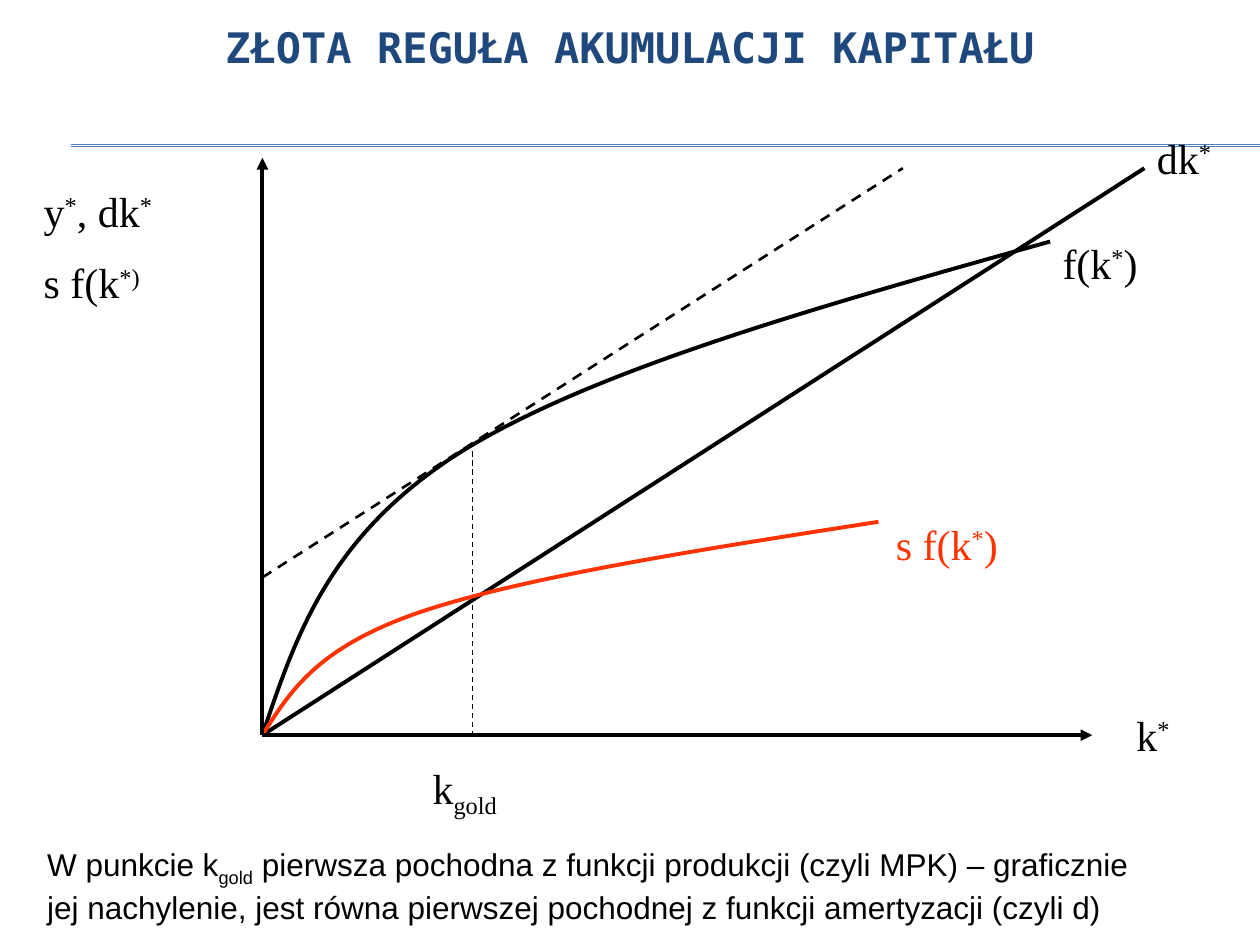
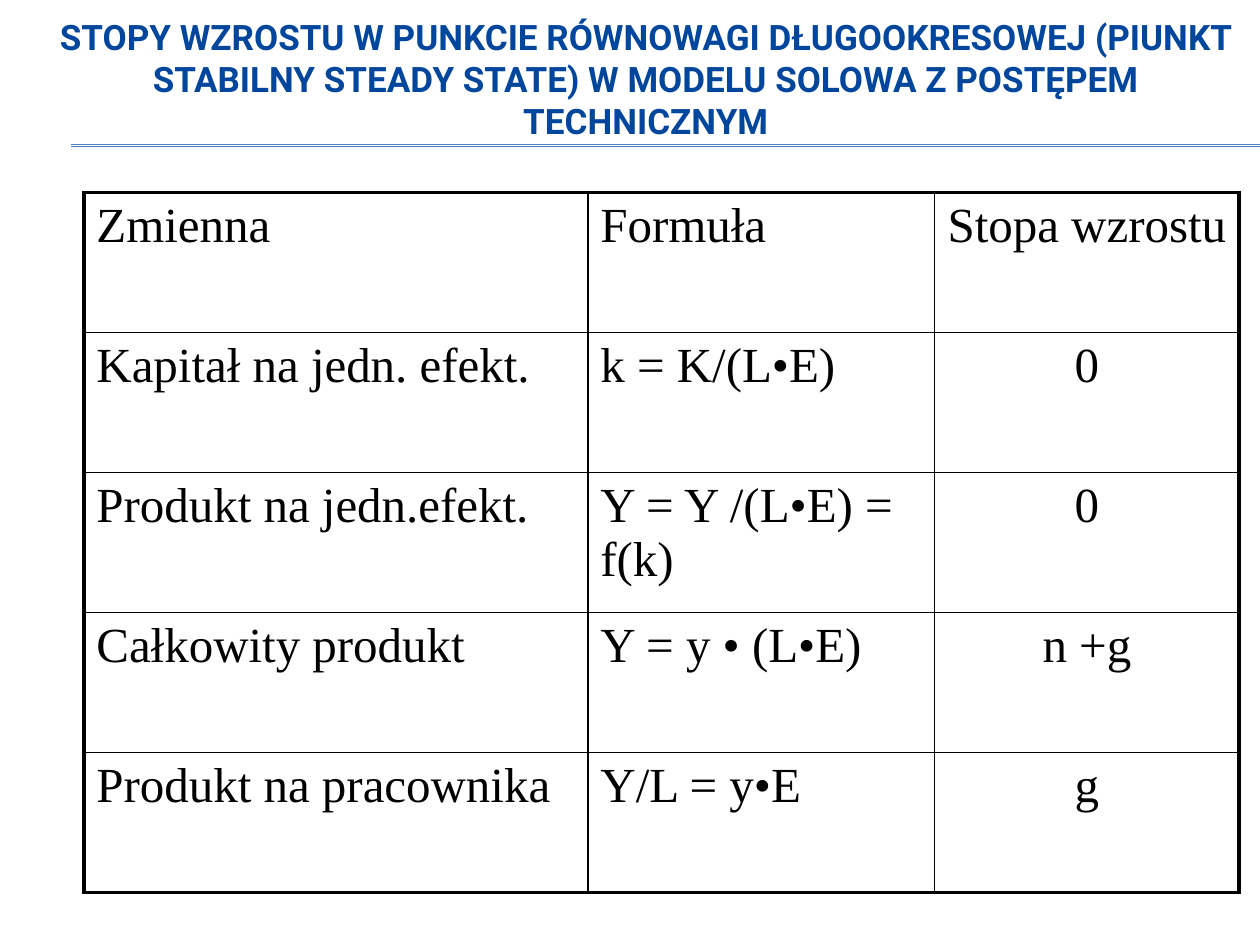
from lxml import etree
from pptx import Presentation
from pptx.dml.color import RGBColor
from pptx.enum.dml import MSO_LINE
from pptx.enum.shapes import MSO_CONNECTOR
from pptx.enum.text import MSO_ANCHOR, PP_ALIGN
from pptx.oxml.ns import qn
from pptx.util import Cm, Pt

STRAIGHT = MSO_CONNECTOR.STRAIGHT
DASH = MSO_LINE.DASH
LEFT, CENTER = PP_ALIGN.LEFT, PP_ALIGN.CENTER
TOP, MIDDLE = MSO_ANCHOR.TOP, MSO_ANCHOR.MIDDLE

COLORS = {
    "ink": "000000",
    "rule": "4F81BD",
    "navy": "1F497D",
    "blue": "00469C",
    "savings": "FF3300",
}
SERIF, SANS, MONO, ROBOTO = "Times New Roman", "Arial", "DejaVu Sans Mono", "Roboto"
BASELINES = {"^": 30000, "_": -25000}
SLIDE_WIDTH, SLIDE_HEIGHT = 25.4, 19.05


def color(name):
    return RGBColor.from_string(COLORS[name])


def write_text(frame, text, size=24, font=SERIF, ink="ink", bold=False,
               align=LEFT, anchor=TOP, space_before=0):
    """Newlines split paragraphs, bars split runs; ^ raises a run and _ lowers it."""
    frame.word_wrap = True
    frame.vertical_anchor = anchor
    for index, line in enumerate(text.split("\n")):
        paragraph = frame.add_paragraph() if index else frame.paragraphs[0]
        paragraph.alignment = align
        if index:
            paragraph.space_before = Pt(space_before)
        for part in line.split("|"):
            run = paragraph.add_run()
            run.text = part.lstrip("^_")
            run.font.size = Pt(size)
            run.font.name = font
            run.font.bold = bold
            run.font.color.rgb = color(ink)
            if part[0] in BASELINES:
                run.font._element.set("baseline", str(BASELINES[part[0]]))


def add_text(slide, text, box, **text_format):
    shape = slide.shapes.add_textbox(*map(Cm, box))
    write_text(shape.text_frame, text, **text_format)


def style_line(line, ink, width, dash=None):
    line.color.rgb = color(ink)
    line.width = Pt(width)
    if dash:
        line.dash_style = dash


def add_line(slide, start, end, ink="ink", width=2.25, dash=None, arrow=False):
    connector = slide.shapes.add_connector(STRAIGHT, *map(Cm, (*start, *end)))
    style_line(connector.line, ink, width, dash)
    properties = connector._element.spPr
    if arrow:
        tail = etree.SubElement(properties.find(qn("a:ln")), qn("a:tailEnd"))
        tail.set("type", "triangle")
    etree.SubElement(properties, qn("a:effectLst"))


def add_curve(slide, points, ink):
    """Draw cubic curves: a start, then two handles and an end for each segment."""
    start, *controls = [(Cm(x), Cm(y)) for x, y in points]
    builder = slide.shapes.build_freeform(*start)
    builder.add_line_segments(controls, close=False)
    shape = builder.convert_to_shape()
    shape.shadow.inherit = False
    shape.fill.background()
    style_line(shape.line, ink, 2.25)
    outline = next(shape._element.iter(qn("a:path")))
    segments = outline.findall(qn("a:lnTo"))
    for first in range(0, len(segments), 3):
        cubic = etree.SubElement(outline, qn("a:cubicBezTo"))
        for segment in segments[first:first + 3]:
            cubic.append(segment[0])
            outline.remove(segment)


def add_slide(presentation, title, title_box, **title_format):
    """Add a blank slide with the shared double rule and a title."""
    slide = presentation.slides.add_slide(presentation.slide_layouts[6])
    for y in (2.92, 2.95):
        add_line(slide, (1.43, y), (SLIDE_WIDTH, y), ink="rule", width=0.75)
    add_text(slide, title, title_box, bold=True, align=CENTER, anchor=MIDDLE,
             **title_format)
    return slide


def add_golden_rule_diagram(slide, box):
    """Draw the diagram; positions are measured right and up from the origin."""
    left, top, width, height = box

    def at(x, y):
        return left + x, top + height - y

    origin = at(0, 0)
    add_line(slide, at(0, 3.18), at(12.91, 11.43), width=1.5, dash=DASH)
    add_line(slide, at(4.23, 5.72), at(4.23, 0), width=0.75, dash=DASH)
    add_line(slide, origin, at(width, 11.43))

    production = [(0, 0), (0.68, 2.03), (1.36, 4.05), (4.02, 5.72),
                  (6.68, 7.37), (11.28, 8.66), (15.88, 9.95)]
    savings = [(0, 0), (0.55, 0.87), (1.09, 1.76), (3.15, 2.47),
               (5.23, 3.18), (8.82, 3.74), (12.42, 4.3)]
    for points, ink in ((production, "ink"), (savings, "savings")):
        add_curve(slide, [at(*point) for point in points], ink)

    for axis_end in (at(0, height), at(16.73, 0)):
        add_line(slide, origin, axis_end, arrow=True)

    labels = [
        ("dk|^*", 17.78, 12.28, 1.9, "ink"),
        ("f(k|^*|)", 15.88, 10.16, 4.01, "ink"),
        ("s f(k|^*|)", 12.52, 4.5, 3.89, "savings"),
        ("k|^*", 17.37, 0.64, 1.47, "ink"),
        ("y|^*|, dk|^*\ns f(k|^*)", -4.66, 11.21, 4.45, "ink"),
        ("k|_gold", 3.18, -0.42, 3.38, "ink"),
    ]
    for text, x, y, label_width, ink in labels:
        label_height = 1.27 * (1 + 1.2 * text.count("\n"))
        add_text(slide, text, (*at(x, y), label_width, label_height),
                 ink=ink, space_before=12)


def set_cell_borders(cell, widths):
    properties = cell._tc.get_or_add_tcPr()
    for side, width in widths.items():
        border = etree.SubElement(properties, qn(f"a:ln{side}"), w=str(Pt(width)))
        fill = etree.SubElement(border, qn("a:solidFill"))
        etree.SubElement(fill, qn("a:srgbClr"), val=COLORS["ink"])


def add_growth_table(slide, box, rows, column_widths):
    last_row, last_column = len(rows) - 1, len(column_widths) - 1
    table = slide.shapes.add_table(len(rows), len(column_widths),
                                   *map(Cm, box)).table
    table.first_row = table.horz_banding = False
    for column, width in zip(table.columns, column_widths):
        column.width = Cm(width)
    for row_index, texts in enumerate(rows):
        table.rows[row_index].height = Cm(box[3] / len(rows))
        for column_index, text in enumerate(texts):
            cell = table.cell(row_index, column_index)
            on_edge = {
                "L": column_index == 0,
                "R": column_index == last_column,
                "T": row_index == 0,
                "B": row_index == last_row,
            }
            set_cell_borders(cell, {side: 2.25 if edge else 1
                                    for side, edge in on_edge.items()})
            cell.fill.background()
            write_text(cell.text_frame, text, size=28,
                       align=CENTER if column_index == last_column else LEFT)


def build_golden_rule_slide(presentation):
    slide = add_slide(presentation, "ZŁOTA REGUŁA AKUMULACJI KAPITAŁU",
                      (1.9, 0, 21.6, 1.9), size=24, font=MONO, ink="navy")
    add_golden_rule_diagram(slide, (5.29, 3.18, 17.78, 11.64))
    add_text(slide, "W punkcie k|_gold| pierwsza pochodna z funkcji produkcji "
             "(czyli MPK) – graficznie jej nachylenie, jest równa pierwszej "
             "pochodnej z funkcji amertyzacji (czyli d)",
             (0.7, 16.92, 22.4, 1.8), size=18, font=SANS)


def build_growth_rates_slide(presentation):
    slide = add_slide(
        presentation,
        "STOPY WZROSTU W PUNKCIE RÓWNOWAGI DŁUGOOKRESOWEJ (PIUNKT STABILNY "
        "STEADY STATE) W MODELU SOLOWA Z POSTĘPEM TECHNICZNYM",
        (0.64, 0, 24.76, 3.18), size=20, font=ROBOTO, ink="blue")
    rows = [
        ("Zmienna", "Formuła", "Stopa wzrostu"),
        ("Kapitał na jedn. efekt.", "k = K/(L•E)", "0"),
        ("Produkt na jedn.efekt.", "Y = Y /(L•E) = f(k)", "0"),
        ("Całkowity produkt", "Y = y • (L•E)", "n +g"),
        ("Produkt na pracownika", "Y/L = y•E", "g"),
    ]
    add_growth_table(slide, (1.69, 3.88, 23.29, 14.11), rows, (10.16, 6.99, 6.14))


def main():
    presentation = Presentation()
    presentation.slide_width = Cm(SLIDE_WIDTH)
    presentation.slide_height = Cm(SLIDE_HEIGHT)
    build_golden_rule_slide(presentation)
    build_growth_rates_slide(presentation)
    presentation.save("out.pptx")


if __name__ == "__main__":
    main()
